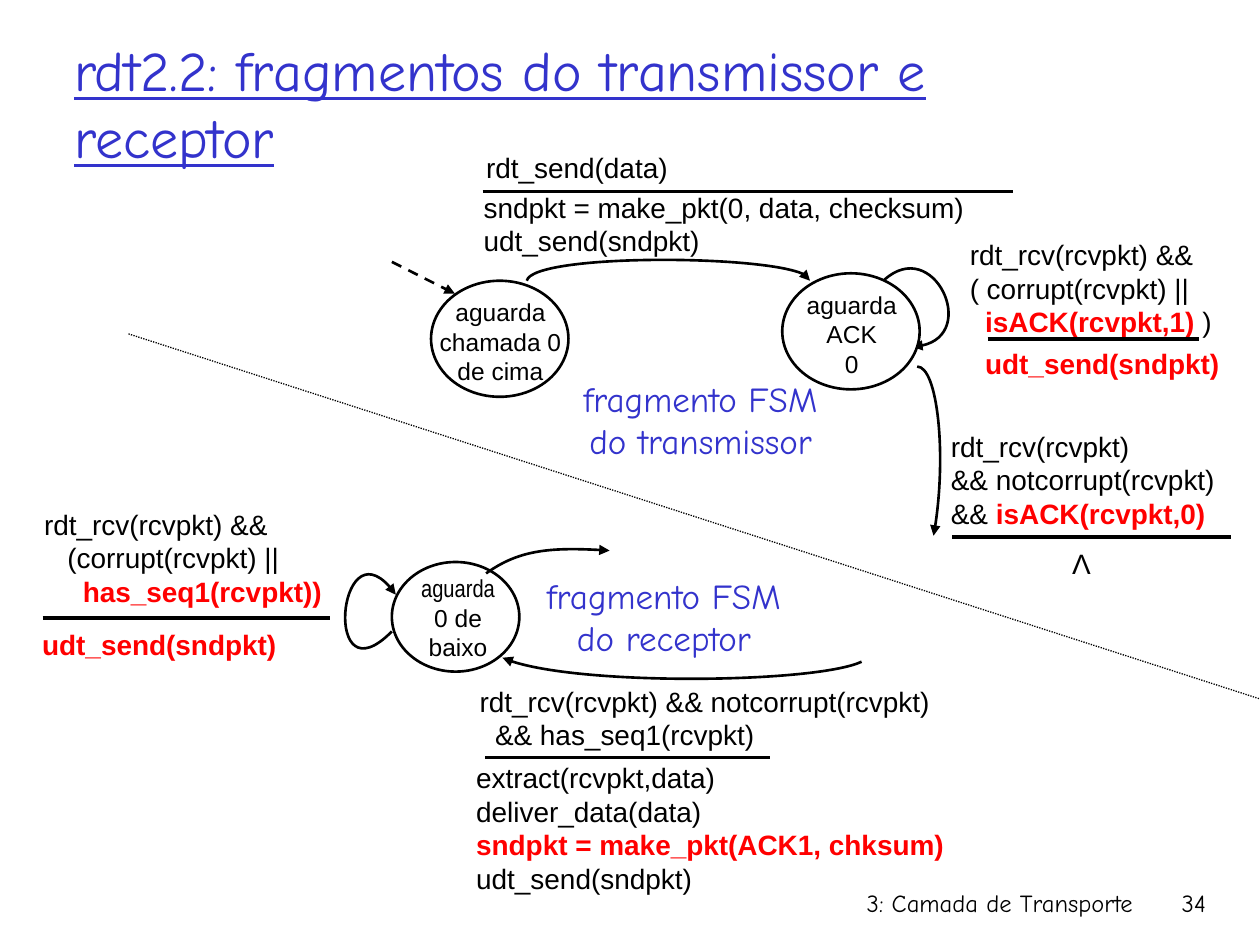
import collections

import pptx
import pptx.dml.color
import pptx.enum.dml
import pptx.enum.shapes
import pptx.enum.text
import pptx.oxml
import pptx.oxml.ns
import pptx.util

Cm = pptx.util.Cm
Pt = pptx.util.Pt
ALIGN = pptx.enum.text.PP_ALIGN
DASH = pptx.enum.dml.MSO_LINE
BLACK = pptx.dml.color.RGBColor(0x00, 0x00, 0x00)
WHITE = pptx.dml.color.RGBColor(0xFF, 0xFF, 0xFF)
BLUE = pptx.dml.color.RGBColor(0x33, 0x33, 0xCC)
RED = pptx.dml.color.RGBColor(0xFF, 0x00, 0x00)
SANS, HAND = "Arial", "Comic Neue"

# A span shown in bold red
Key = collections.namedtuple("Key", "text")


def write(frame, lines, size=16, font=SANS, color=BLACK, align=ALIGN.LEFT,
          underline=None, indents=(), fonts=()):
    """Fill a frame: each line is a list of spans, each span a string or a Key."""
    frame.word_wrap = True
    for index, spans in enumerate(lines):
        para = frame.paragraphs[0] if index == 0 else frame.add_paragraph()
        para.alignment = align
        if index < len(indents) and indents[index]:
            para._p.get_or_add_pPr().set("marL", str(Cm(indents[index])))
        for item in spans:
            is_key = isinstance(item, Key)
            span = para.add_run()
            span.text = item.text if is_key else item
            span.font.size = Pt(size)
            span.font.name = fonts[index] if index < len(fonts) else font
            span.font.bold = is_key
            span.font.underline = underline
            span.font.color.rgb = RED if is_key else color


class Region:
    """Draws parts at centimetre offsets from the corner of a box."""

    def __init__(self, page, left, top):
        self.shapes, self.left, self.top = page.shapes, left, top

    def point(self, x, y):
        return Cm(self.left + x), Cm(self.top + y)

    def text(self, x, y, width, height, lines, **style):
        box = self.shapes.add_textbox(*self.point(x, y), Cm(width), Cm(height))
        write(box.text_frame, lines, **style)

    def line(self, start, end, width=2.25, dash=None, arrow=False):
        line = self.shapes.add_connector(
            pptx.enum.shapes.MSO_CONNECTOR.STRAIGHT,
            *self.point(*start), *self.point(*end))
        stroke(line, width, dash, arrow)
        pptx.oxml.ns.qn("a:effectLst")
        line._element.spPr.append(element("a:effectLst"))

    def rule(self, x, y, width):
        self.line((x, y), (x + width, y))

    def curve(self, *points):
        """Arrow along the cubic curve with the four given control points."""
        start, *others = [self.point(*point) for point in points]
        builder = self.shapes.build_freeform(*start)
        builder.add_line_segments(others, close=False)
        shape = builder.convert_to_shape()
        shape.shadow.inherit = False
        shape.fill.background()
        segments = shape._element.findall(".//" + pptx.oxml.ns.qn("a:lnTo"))
        bezier = element("a:cubicBezTo")
        segments[0].addprevious(bezier)
        for segment in segments:
            bezier.append(segment[0])
            segment.getparent().remove(segment)
        stroke(shape, 1.5, arrow=True)

    def state(self, x, y, width, height, label, lines, **style):
        """Ellipse, with its label in a box placed relative to it."""
        shape = self.shapes.add_shape(pptx.enum.shapes.MSO_SHAPE.OVAL,
                                      *self.point(x, y), Cm(width), Cm(height))
        shape.shadow.inherit = False
        shape.fill.solid()
        shape.fill.fore_color.rgb = WHITE
        stroke(shape, 1.5)
        dx, dy, label_width = label
        self.text(x + dx, y + dy, label_width, 1.7, lines, size=14,
                  align=ALIGN.CENTER, **style)

    def caption(self, x, y, lines):
        self.text(x, y, 5.69, 1.96, lines, size=20, font=HAND, color=BLUE,
                  align=ALIGN.CENTER)


def element(tag):
    return pptx.oxml.parse_xml(f"<{tag} {pptx.oxml.ns.nsdecls('a')}/>")


def stroke(shape, width, dash=None, arrow=False):
    shape.line.color.rgb = BLACK
    shape.line.width = Pt(width)
    if dash:
        shape.line.dash_style = dash
    if arrow:
        tail = element("a:tailEnd")
        tail.set("type", "triangle")
        shape.line._get_or_add_ln().append(tail)


def draw_title(page, left, top, width, height):
    title = page.shapes.title
    title.left, title.top, title.width, title.height = map(
        Cm, (left, top, width, height))
    title.text_frame.vertical_anchor = pptx.enum.text.MSO_ANCHOR.MIDDLE
    write(title.text_frame, [["rdt2.2: fragmentos do transmissor e receptor"]],
          size=32, font=HAND, color=BLUE, underline=True)


def draw_sender(page, left, top):
    area = Region(page, left, top)
    size, label = (2.77, 2.34), (-0.2, 0.21, 3.2)
    # Waiting for a call, then sending packet 0
    area.state(0.79, 2.76, *size, label, [["aguarda chamada 0 de cima"]])
    area.text(1.6, 0.81, 11.2, 1.12, [["sndpkt = make_pkt(0, data, checksum)"],
                                      ["udt_send(sndpkt)"]])
    area.text(1.65, 0.02, 5.18, 0.79, [["rdt_send(data)"]])
    area.rule(1.83, 0.96, 10.69)
    area.line((0, 2.38), (1.27, 3.02), 1.5, DASH.DASH, arrow=True)
    area.curve((2.72, 2.76), (2.84, 2.21), (8.43, 2.23), (8.43, 2.76))
    # Wrong or corrupt acknowledgement: loop
    area.curve((9.93, 2.74), (10.92, 1.85), (11.94, 4.03), (10.49, 4.09))
    area.text(11.71, 3.96, 6.4, 1.12, [[Key("udt_send(sndpkt)")]])
    area.text(11.4, 1.77, 8.18, 1.57,
              [["rdt_rcv(rcvpkt) &&"], ["( corrupt(rcvpkt) ||"],
               [Key("isACK(rcvpkt,1)"), " )"]], indents=(0, 0, 0.31))
    area.rule(12.01, 3.93, 4.27)
    # Correct acknowledgement: leave
    area.curve((10.59, 4.49), (11, 4.49), (11.2, 6.37), (10.92, 7.9))
    area.text(11.02, 5.63, 7.26, 1.57,
              [["rdt_rcv(rcvpkt)"], ["&& notcorrupt(rcvpkt)"],
               ["&& ", Key("isACK(rcvpkt,0)")]])
    area.rule(11.3, 7.92, 5.62)
    area.text(13.33, 8, 1.14, 0.94, [["Λ"]], align=ALIGN.CENTER)
    area.state(7.87, 2.61, *size, label, [["aguarda ACK"], ["0"]])
    area.caption(3.38, 4.59, [["fragmento FSM"], ["do transmissor"]])


def draw_receiver(page, left, top):
    area = Region(page, left, top)
    area.state(7.3, 1.23, 2.57, 2.21, (0.13, 0.1, 2.41),
               [["aguarda"], ["0 de baixo"]], fonts=("Arial Narrow",))
    area.curve((9.2, 1.46), (9.84, 1), (10.53, 0.92), (11.69, 1))
    # Expected packet arrives
    area.curve((16.77, 3.24), (15.86, 3.67), (10.8, 3.74), (9.53, 3.16))
    area.text(8.82, 3.57, 11.86, 1.57,
              [["rdt_rcv(rcvpkt) && notcorrupt(rcvpkt)"],
               ["&& has_seq1(rcvpkt)"]], indents=(0, 0.31))
    area.rule(9.18, 5.17, 5.74)
    area.text(8.75, 5.11, 12.57, 1.93,
              [["extract(rcvpkt,data)"], ["deliver_data(data)"],
               [Key("sndpkt = make_pkt(ACK1, chksum)")], ["udt_send(sndpkt)"]])
    # Corrupt or duplicate packet: loop
    area.curve((7.3, 2.63), (5.9, 4.05), (6.23, 0.26), (7.38, 1.89))
    area.rule(0.26, 2.35, 5.79)
    area.text(0.04, 0, 7.11, 1.78,
              [["rdt_rcv(rcvpkt) &&"], ["(corrupt(rcvpkt) ||"],
               [Key("has_seq1(rcvpkt))")]], indents=(0, 0.47, 0.78))
    area.text(0, 2.42, 6.12, 1.14, [[Key("udt_send(sndpkt)")]])
    area.caption(9.94, 1.36, [["fragmento FSM"], ["do receptor"]])


def draw_footer(page, left, top):
    area = Region(page, left, top)
    for x, width, words in ((0, 8.05, "3: Camada de Transporte"),
                            (7.64, 1.88, "34")):
        area.text(x, 0, width, 1.27, [[words]], size=14, font=HAND,
                  align=ALIGN.RIGHT)


def main():
    deck = pptx.Presentation()
    deck.slide_width, deck.slide_height = Cm(25.4), Cm(19.05)
    page = deck.slides.add_slide(deck.slide_layouts[5])
    draw_title(page, 1.24, 0.48, 21.59, 3.18)
    draw_sender(page, 7.9, 2.9)
    draw_receiver(page, 0.6, 10.1)
    # Divider between the two machines
    Region(page, 0, 0).line((2.59, 6.73), (25.4, 14.09), 0.75,
                            DASH.ROUND_DOT)
    draw_footer(page, 15.04, 17.78)
    deck.save("out.pptx")


if __name__ == "__main__":
    main()
